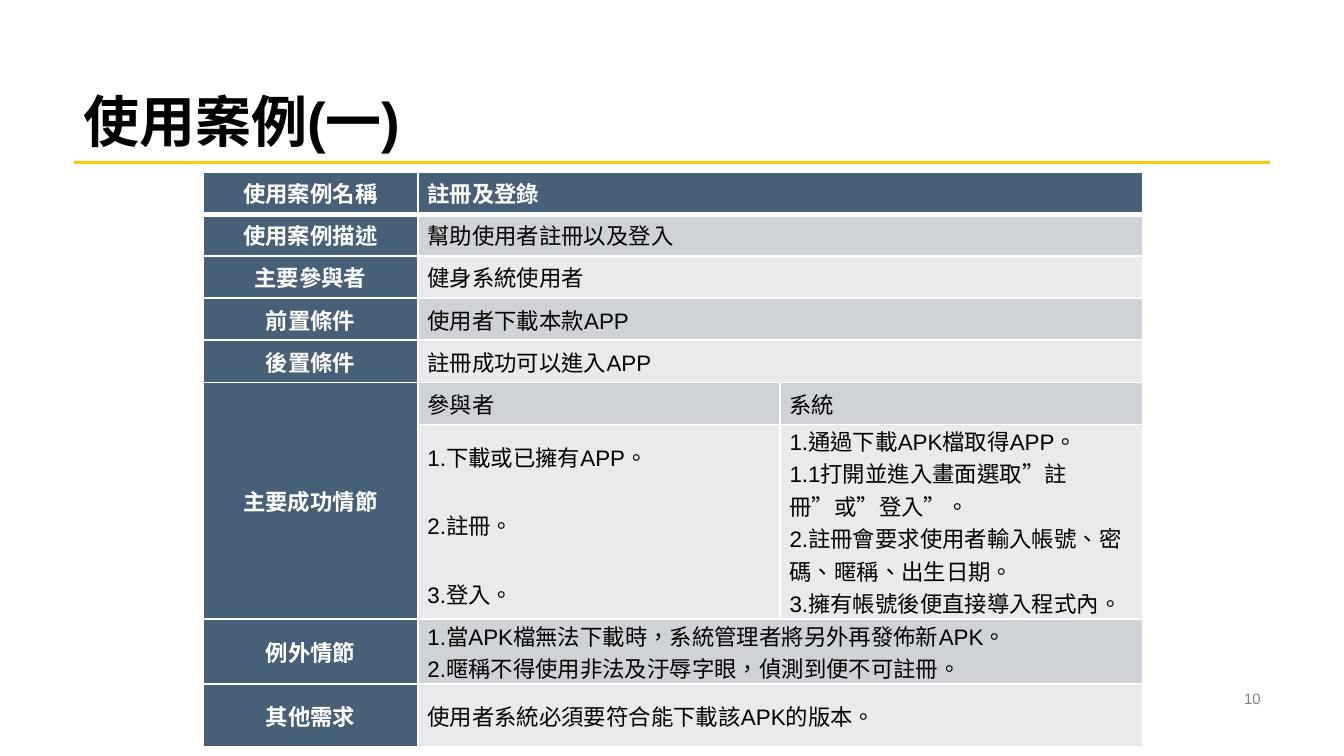
from lxml.etree import SubElement
from pptx import Presentation
from pptx.dml.color import RGBColor
from pptx.enum.shapes import MSO_CONNECTOR
from pptx.enum.text import MSO_ANCHOR, PP_ALIGN
from pptx.oxml.ns import qn
from pptx.util import Inches, Pt

FONT = "Arial"
BLACK = RGBColor(0x00, 0x00, 0x00)
WHITE = RGBColor(0xFF, 0xFF, 0xFF)
GRAY = RGBColor(0x80, 0x80, 0x80)
YELLOW = RGBColor(0xFC, 0xCA, 0x07)
NAVY = RGBColor(0x47, 0x5F, 0x77)
DARK_BAND = RGBColor(0xCF, 0xD2, 0xD6)
LIGHT_BAND = RGBColor(0xE9, 0xEA, 0xEC)

TABLE_WIDTH = 6.99
LABEL_WIDTH = 1.6
COLUMN_WIDTHS = [LABEL_WIDTH] + [(TABLE_WIDTH - LABEL_WIDTH) / 2] * 2
ROW_HEIGHTS = [1.88 / 6] * 6 + [1.45, 0.48, 0.47]
SCENARIO_ROW = 5
STEPS_ROW = 6

USE_CASE = [
    ("使用案例名稱", ["註冊及登錄"]),
    ("使用案例描述", ["幫助使用者註冊以及登入"]),
    ("主要參與者", ["健身系統使用者"]),
    ("前置條件", ["使用者下載本款APP"]),
    ("後置條件", ["註冊成功可以進入APP"]),
    ("主要成功情節", ["參與者"], ["系統"]),
    (
        "",
        ["1.下載或已擁有APP。", "2.註冊。", "3.登入。"],
        [
            "1.通過下載APK檔取得APP。",
            "1.1打開並進入畫面選取”註冊”或”登入”。",
            "2.註冊會要求使用者輸入帳號、密碼、暱稱、出生日期。",
            "3.擁有帳號後便直接導入程式內。",
        ],
    ),
    (
        "例外情節",
        [
            "1.當APK檔無法下載時，系統管理者將另外再發佈新APK。",
            "2.暱稱不得使用非法及汙辱字眼，偵測到便不可註冊。",
        ],
    ),
    ("其他需求", ["使用者系統必須要符合能下載該APK的版本。"]),
]


def write(frame, lines, size=12, color=BLACK, bold=False,
          align=PP_ALIGN.LEFT, spacing=None, gap=0):
    for index, line in enumerate(lines):
        paragraph = frame.add_paragraph() if index else frame.paragraphs[0]
        paragraph.alignment = align
        paragraph.line_spacing = spacing
        paragraph.space_before = Pt(gap if index else 0)
        run = paragraph.add_run()
        run.text = line
        run.font.name = FONT
        run.font.size = Pt(size)
        run.font.bold = bold
        run.font.color.rgb = color
        run._r.get_or_add_rPr().set("lang", "zh-TW")


def add_text(slide, text, left, top, width, height, anchor, **style):
    frame = slide.shapes.add_textbox(
        Inches(left), Inches(top), Inches(width), Inches(height)).text_frame
    frame.word_wrap = True
    frame.vertical_anchor = anchor
    frame.margin_left = frame.margin_right = Inches(0.07)
    frame.margin_top = frame.margin_bottom = Inches(0.04)
    write(frame, [text], **style)


def add_rule(slide, left, right, y):
    rule = slide.shapes.add_connector(
        MSO_CONNECTOR.STRAIGHT, Inches(left), Inches(y), Inches(right), Inches(y))
    rule.line.color.rgb = YELLOW
    rule.line.width = Pt(1.5)
    SubElement(rule._element.spPr, qn("a:effectLst"))


def add_borders(cell, bottom):
    properties = cell._tc.get_or_add_tcPr()
    widths = {"lnL": 1, "lnR": 1, "lnT": 1, "lnB": bottom}
    for position, (side, width) in enumerate(widths.items()):
        border = properties.makeelement(qn(f"a:{side}"), {"w": str(Pt(width))})
        fill = SubElement(border, qn("a:solidFill"))
        SubElement(fill, qn("a:srgbClr"), val=str(WHITE))
        properties.insert(position, border)


def format_cell(cell, fill, bottom):
    cell.fill.solid()
    cell.fill.fore_color.rgb = fill
    cell.vertical_anchor = MSO_ANCHOR.MIDDLE
    cell.margin_left = cell.margin_right = Inches(0.07)
    cell.margin_top = cell.margin_bottom = 0
    add_borders(cell, bottom)


def fill_row(table, row, label, *contents):
    band = NAVY if row == 0 else DARK_BAND if row % 2 else LIGHT_BAND
    for column in range(len(COLUMN_WIDTHS)):
        format_cell(table.cell(row, column), band if column else NAVY,
                    bottom=1 if row else 3)
    if label:
        write(table.cell(row, 0).text_frame, [label], color=WHITE, bold=True,
              align=PP_ALIGN.CENTER)
    if len(contents) == 1:
        table.cell(row, 1).merge(table.cell(row, 2))
    for column, lines in enumerate(contents, start=1):
        actor_steps = row == STEPS_ROW and column == 1
        write(table.cell(row, column).text_frame, lines,
              color=BLACK if row else WHITE, bold=row == 0,
              spacing=1.2 if actor_steps else None,
              gap=16 if actor_steps else 0)


def add_use_case_table(slide, left, top):
    table = slide.shapes.add_table(
        len(ROW_HEIGHTS), len(COLUMN_WIDTHS), Inches(left), Inches(top),
        Inches(TABLE_WIDTH), Inches(sum(ROW_HEIGHTS))).table
    for column, width in zip(table.columns, COLUMN_WIDTHS):
        column.width = Inches(width)
    for row, height in zip(table.rows, ROW_HEIGHTS):
        row.height = Inches(height)
    for row, entry in enumerate(USE_CASE):
        fill_row(table, row, *entry)
    table.cell(SCENARIO_ROW, 0).merge(table.cell(STEPS_ROW, 0))


def main():
    presentation = Presentation()
    presentation.slide_width = Inches(10)
    presentation.slide_height = Inches(10 * 9 / 16)
    slide = presentation.slides.add_slide(presentation.slide_layouts[6])
    add_rule(slide, 0.55, 9.45, 1.21)
    add_text(slide, "使用案例(一)", 0.55, 0, 8.9, 1.19, MSO_ANCHOR.BOTTOM,
             size=30, bold=True, spacing=0.9)
    add_text(slide, "10", 7.06, 5.11, 2.39, 0.17, MSO_ANCHOR.MIDDLE,
             size=8, color=GRAY, align=PP_ALIGN.RIGHT)
    add_use_case_table(slide, 1.51, 1.28)
    presentation.save("out.pptx")


if __name__ == "__main__":
    main()
